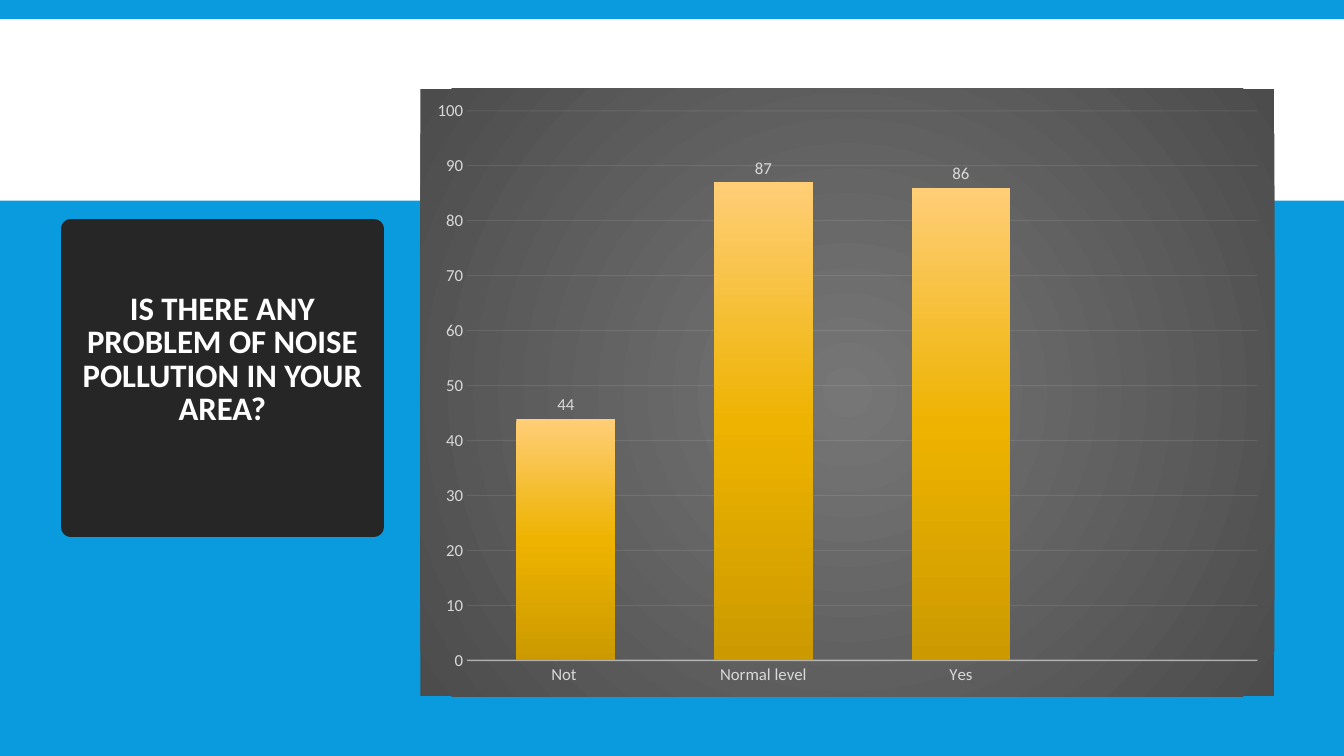
from lxml import etree
from pptx import Presentation
from pptx.chart.data import CategoryChartData
from pptx.dml.color import RGBColor
from pptx.enum.chart import XL_CHART_TYPE, XL_LABEL_POSITION, XL_TICK_MARK
from pptx.enum.shapes import MSO_SHAPE
from pptx.enum.text import MSO_ANCHOR, PP_ALIGN
from pptx.oxml.ns import qn
from pptx.util import Inches, Pt

RECTANGLE = MSO_SHAPE.RECTANGLE
COLUMNS = XL_CHART_TYPE.COLUMN_CLUSTERED
OUTSIDE_END = XL_LABEL_POSITION.OUTSIDE_END
NO_TICK = XL_TICK_MARK.NONE
MIDDLE = MSO_ANCHOR.MIDDLE
CENTER = PP_ALIGN.CENTER

BLUE = RGBColor(0x09, 0x9B, 0xDD)
WHITE = RGBColor(0xFF, 0xFF, 0xFF)
CHARCOAL = RGBColor(0x26, 0x26, 0x26)
LABEL_GRAY = RGBColor(0xD9, 0xD9, 0xD9)
LINE_GRAY = RGBColor(0xF2, 0xF2, 0xF2)
PANEL_CENTER = RGBColor(0x76, 0x76, 0x76)
PANEL_EDGE = RGBColor(0x4C, 0x4C, 0x4C)
BAR_TOP = RGBColor(0xFF, 0xCE, 0x77)
BAR_MIDDLE = RGBColor(0xEE, 0xB3, 0x00)
BAR_BOTTOM = RGBColor(0xCC, 0x9A, 0x00)


class SlideBuilder:
    font_name = "Calibri"

    def __init__(self, page):
        self.page = page

    def background(self, color):
        fill = self.page.background.fill
        fill.solid()
        fill.fore_color.rgb = color

    def block(self, left, top, width, height, color, border=0):
        box = self.page.shapes.add_shape(
            RECTANGLE, Inches(left), Inches(top), Inches(width), Inches(height))
        box.shadow.inherit = False
        box.fill.solid()
        box.fill.fore_color.rgb = color
        if border:
            box.line.color.rgb = color
            box.line.width = Pt(border)
        else:
            box.line.fill.background()
        return box

    def heading(self, box, text, size):
        frame = box.text_frame
        frame.word_wrap = True
        frame.vertical_anchor = MIDDLE
        frame.margin_left = frame.margin_right = Inches(0.08)
        frame.margin_top = Inches(0.05)
        frame.margin_bottom = Inches(0.4)
        para = frame.paragraphs[0]
        para.alignment = CENTER
        para.line_spacing = 0.85
        span = para.add_run()
        span.text = text
        self.style_font(span.font, size, WHITE)
        span.font.bold = True

    def style_font(self, font, size, color):
        font.name = self.font_name
        font.size = Pt(size)
        font.color.rgb = color

    def gradient(self, parent, stops, radial=False):
        fill = etree.SubElement(parent, qn("a:gradFill"), rotWithShape="1")
        stop_list = etree.SubElement(fill, qn("a:gsLst"))
        for position, color in stops:
            stop = etree.SubElement(stop_list, qn("a:gs"), pos=str(position * 1000))
            etree.SubElement(stop, qn("a:srgbClr"), val=str(color))
        if radial:
            shade = etree.SubElement(fill, qn("a:path"), attrib={"path": "circle"})
            etree.SubElement(shade, qn("a:fillToRect"),
                             {side: "50000" for side in "ltrb"})
        else:
            etree.SubElement(fill, qn("a:lin"), ang="5400000", scaled="0")

    def faint_line(self, line, width, opacity):
        line.color.rgb = LINE_GRAY
        line.width = Pt(width)
        color = next(line._ln.iter(qn("a:srgbClr")))
        etree.SubElement(color, qn("a:alpha"), val=str(opacity * 1000))

    def column_chart(self, left, top, width, height, name, answers):
        data = CategoryChartData()
        data.categories = [label for label, count in answers]
        data.add_series(name, [count for label, count in answers])
        chart = self.page.shapes.add_chart(
            COLUMNS, Inches(left), Inches(top), Inches(width), Inches(height), data).chart
        chart.has_legend = False
        chart.has_title = False
        self.style_font(chart.font, 10, WHITE)
        self.style_panel(chart)
        self.style_axes(chart)
        self.style_columns(chart.plots[0])

    def style_panel(self, chart):
        panel = etree.Element(qn("c:spPr"))
        self.gradient(panel, [(0, PANEL_CENTER), (100, PANEL_EDGE)], radial=True)
        border = etree.SubElement(panel, qn("a:ln"))
        etree.SubElement(border, qn("a:noFill"))
        chart._chartSpace.find(qn("c:chart")).addnext(panel)

    def style_axes(self, chart):
        for axis in (chart.category_axis, chart.value_axis):
            axis.major_tick_mark = axis.minor_tick_mark = NO_TICK
            self.style_font(axis.tick_labels.font, 12, LABEL_GRAY)
        self.faint_line(chart.category_axis.format.line, 1, 54)
        values = chart.value_axis
        values.minimum_scale, values.maximum_scale, values.major_unit = 0, 100, 10
        values.format.line.fill.background()
        values.has_major_gridlines = True
        self.faint_line(values.major_gridlines.format.line, 0.75, 10)

    def style_columns(self, plot):
        plot.gap_width = 100
        plot.overlap = -24
        plot.vary_by_categories = False
        series = plot.series[0]
        self.gradient(series._element.get_or_add_spPr(),
                      [(0, BAR_TOP), (50, BAR_MIDDLE), (100, BAR_BOTTOM)])
        labels = series.data_labels
        labels.show_value = True
        labels.position = OUTSIDE_END
        self.style_font(labels.font, 12, LABEL_GRAY)


def main():
    deck = Presentation()
    deck.slide_width = Inches(13.33)
    deck.slide_height = Inches(7.5)
    builder = SlideBuilder(deck.slides.add_slide(deck.slide_layouts[6]))
    builder.background(BLUE)
    builder.block(0, 0.19, 13.33, 1.8, WHITE)
    question = builder.block(0.7, 2.27, 3.01, 2.96, CHARCOAL, border=13.75)
    builder.heading(question, "IS THERE ANY PROBLEM OF NOISE POLLUTION IN YOUR AREA?", 23.4)
    builder.column_chart(
        4.17, 0.88, 8.47, 6.03, "Series 1",
        [("Not ", 44), ("Normal level", 87), ("Yes", 86), ("", None)])
    deck.save("out.pptx")


if __name__ == "__main__":
    main()
